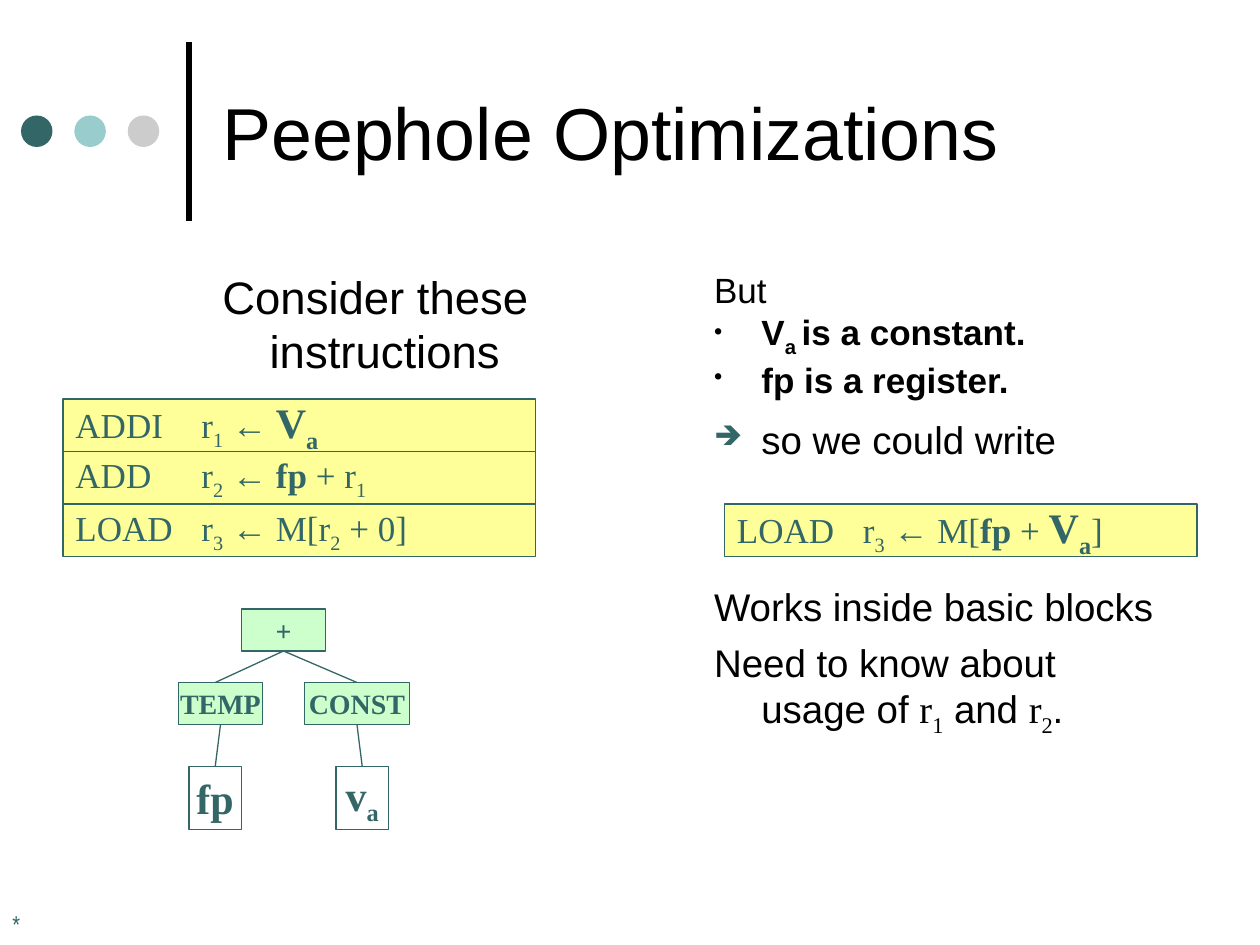
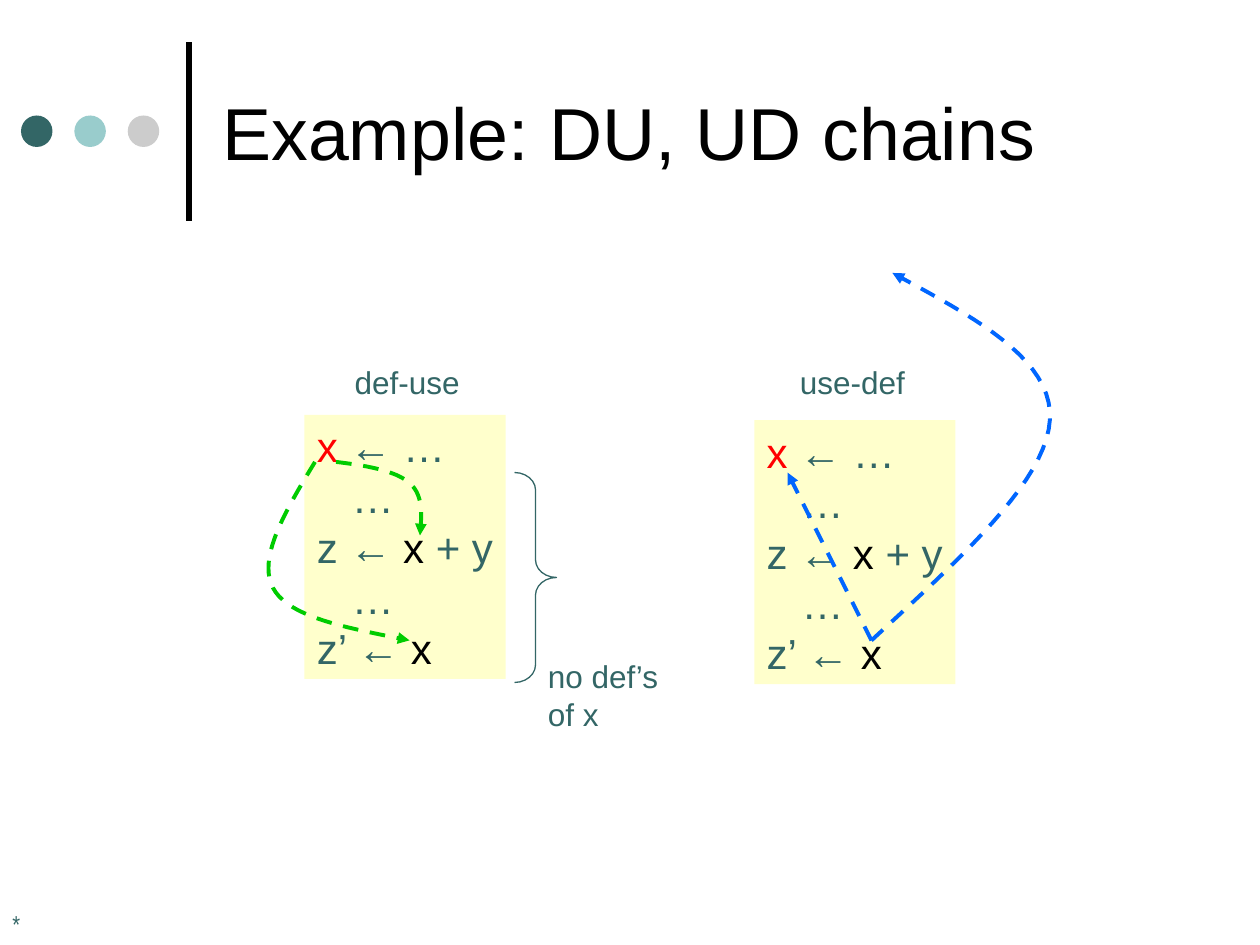
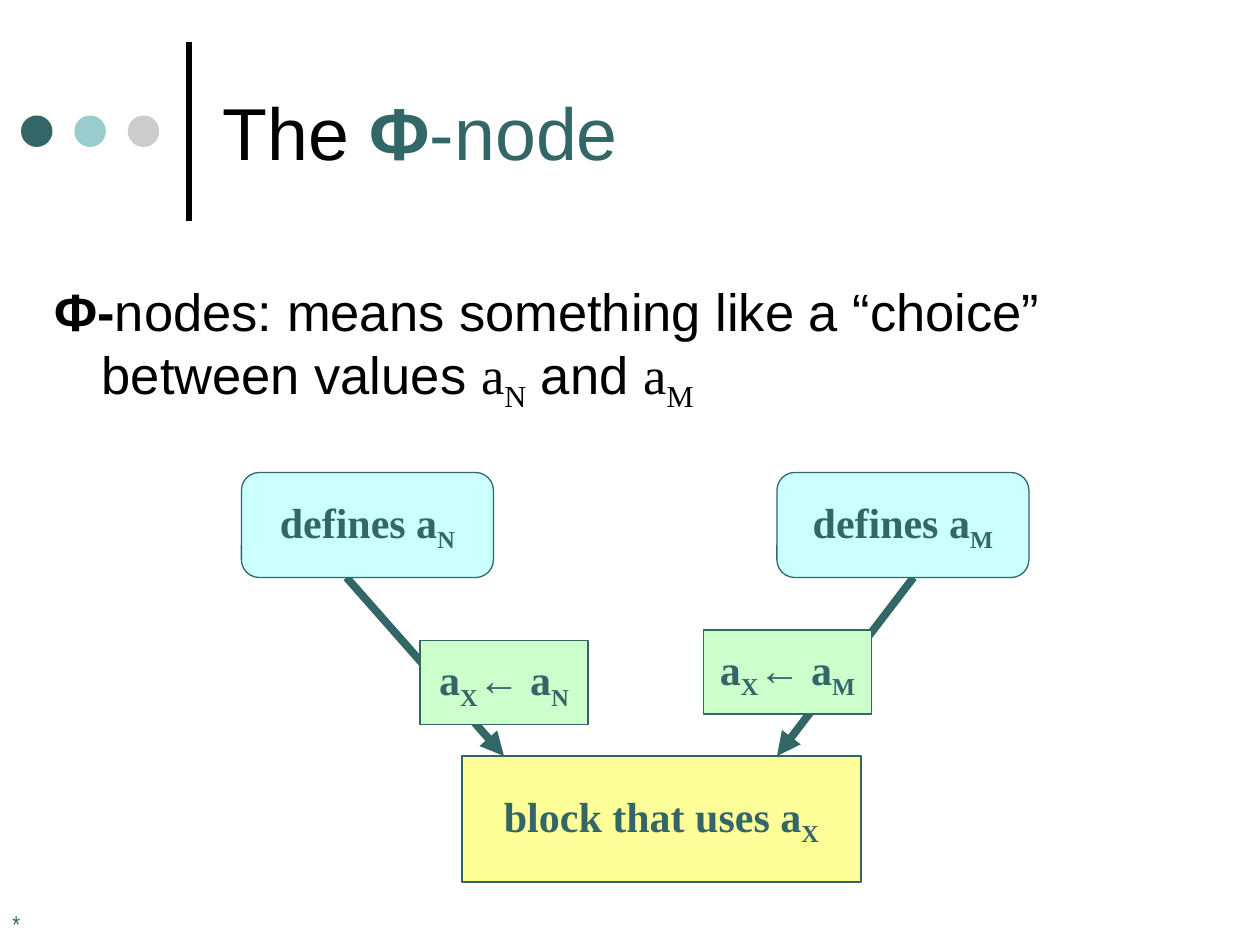
import lxml.etree
import pptx
import pptx.dml.color
import pptx.enum.dml
import pptx.enum.shapes
import pptx.enum.text
import pptx.oxml.ns
import pptx.util

Pt = pptx.util.Pt
qn = pptx.oxml.ns.qn
SHAPE = pptx.enum.shapes.MSO_SHAPE
ALIGN = pptx.enum.text.PP_ALIGN
ANCHOR = pptx.enum.text.MSO_ANCHOR
COLORS = {
    "black": "000000", "white": "FFFFFF", "teal": "336666", "aqua": "99CCCC",
    "grey": "CCCCCC", "yellow": "FFFF99", "cream": "FFFFCC", "mint": "CCFFCC",
    "sky": "CCFFFF", "red": "FF0000", "green": "00CC00", "blue": "0066FF",
}
SANS, SERIF = "Arial", "Times New Roman"
HANG = 27


def rgb(name):
    return pptx.dml.color.RGBColor.from_string(COLORS[name])


def add_text(p, text, size=24, font=SANS, color="teal", bold=False, sub=False):
    r = p.add_run()
    r.text = text
    r.font.size = Pt(size)
    r.font.name = font
    r.font.bold = bold
    r.font.color.rgb = rgb(color)
    if sub:
        r._r.get_or_add_rPr().set("baseline", "-25000")


def run(text, **fmt):
    return text, fmt


def sub(text, **fmt):
    return text, dict(fmt, sub=True)


def para(*runs, **layout):
    return runs, layout


class Deck:
    def __init__(self):
        self.prs = pptx.Presentation()
        self.prs.slide_width, self.prs.slide_height = Pt(720), Pt(540)
        self.s = None

    def slide(self, *title):
        self.s = self.prs.slides.add_slide(self.prs.slide_layouts[6])
        self.line((108, 126), (108, 24), "black", 3)
        for i, color in enumerate(("teal", "aqua", "grey")):
            self.shape((12 + 30.5 * i, 66, 18, 18), color,
                       kind=SHAPE.OVAL, line=None)
        self.box((0, 516, 150, 36), [para("*")], size=14, font="Arial Narrow")
        self.box((120, 15, 552, 120), [para(*title)], anchor=ANCHOR.MIDDLE,
                 size=42, color="black")

    def fill_frame(self, tf, paras, align=ALIGN.LEFT, anchor=ANCHOR.TOP,
                   wrap=True, **fmt):
        tf.word_wrap = wrap
        tf.vertical_anchor = anchor
        for i, (runs, layout) in enumerate(paras):
            p = tf.add_paragraph() if i else tf.paragraphs[0]
            p.alignment = align
            self.layout(p, **layout)
            for item in runs:
                text, own = (item, {}) if isinstance(item, str) else item
                add_text(p, text, **{**fmt, **own})

    def layout(self, p, before=0, left=0, first=0, bullet=None, bullet_color="black"):
        p.space_before = Pt(before)
        pPr = p._p.get_or_add_pPr()
        pPr.set("marL", str(Pt(left)))
        pPr.set("indent", str(Pt(first)))
        if bullet:
            clr = lxml.etree.SubElement(pPr, qn("a:buClr"))
            lxml.etree.SubElement(clr, qn("a:srgbClr"), val=COLORS[bullet_color])
            lxml.etree.SubElement(pPr, qn("a:buSzPct"), val="70000")
            lxml.etree.SubElement(pPr, qn("a:buChar"), char=bullet)

    def box(self, at, paras, **fmt):
        sp = self.s.shapes.add_textbox(*map(Pt, at))
        self.fill_frame(sp.text_frame, paras, **fmt)

    def shape(self, at, fill, paras=(), kind=SHAPE.RECTANGLE, line="teal",
              adjust=None, **fmt):
        sp = self.s.shapes.add_shape(kind, *map(Pt, at))
        sp.shadow.inherit = False
        if adjust is not None:
            sp.adjustments[0] = adjust
        if fill:
            sp.fill.solid()
            sp.fill.fore_color.rgb = rgb(fill)
        else:
            sp.fill.background()
        if line:
            self.stroke(sp, line, 0.75)
        else:
            sp.line.fill.background()
        if paras:
            self.fill_frame(sp.text_frame, paras, wrap=False, **fmt)
        return sp

    def node(self, at, fill, *runs, size=24, align=ALIGN.CENTER, bold=True, **style):
        return self.shape(at, fill, [para(*runs)], size=size, font=SERIF, bold=bold,
                          align=align, anchor=ANCHOR.MIDDLE, **style)

    def stroke(self, sp, color, width, dash=False, arrow=False):
        sp.line.color.rgb = rgb(color)
        sp.line.width = Pt(width)
        if dash:
            sp.line.dash_style = pptx.enum.dml.MSO_LINE.DASH
        if arrow:
            ln = sp.element.spPr.find(qn("a:ln"))
            lxml.etree.SubElement(ln, qn("a:tailEnd"), type="triangle")

    def line(self, start, end, color="teal", width=0.75, **style):
        c = self.s.shapes.add_connector(pptx.enum.shapes.MSO_CONNECTOR.STRAIGHT,
                                        *map(Pt, start + end))
        self.stroke(c, color, width, **style)
        lxml.etree.SubElement(c.element.spPr, qn("a:effectLst"))
        return c

    def edge(self, parent, child):
        c = self.line((0, 0), (0, 0))
        c.begin_connect(parent, 2)
        c.end_connect(child, 0)

    def curve(self, points, color, steps=20):
        fb = self.s.shapes.build_freeform(*map(Pt, points[0]))
        outline = []
        for i in range(0, len(points) - 1, 3):
            for k in range(1, steps + 1):
                t = k / steps
                weights = ((1 - t) ** 3, 3 * t * (1 - t) ** 2,
                           3 * t * t * (1 - t), t ** 3)
                outline.append([Pt(sum(w * q[axis] for w, q in
                                       zip(weights, points[i:i + 4])))
                                for axis in (0, 1)])
        fb.add_line_segments(outline, close=False)
        sp = fb.convert_to_shape()
        sp.shadow.inherit = False
        sp.fill.background()
        self.stroke(sp, color, 2.25, dash=True, arrow=True)


def peephole(d):
    d.slide("Peephole Optimizations")
    hang = dict(left=HANG, first=-HANG)
    d.box((120, 150, 271, 324), [para("Consider these instructions", before=6.5, **hang)],
          size=26, color="black")
    small = dict(size=20, bold=True)
    serif = dict(font=SERIF)
    d.box((401, 150, 271, 324), [
        para(run("But", size=20), **hang),
        para(run("V", **small), sub("a ", **small), run("is a constant.", **small),
             bullet="•", **hang),
        para(run("fp is a register.", **small), bullet="•", **hang),
        para("so we could write", before=9, bullet="➔", bullet_color="teal", **hang),
        para("Works inside basic blocks", before=69, **hang),
        para("Need to know about usage of ", run("r", **serif), sub("1", **serif),
             " and ", run("r", **serif), sub("2", **serif), ".", before=5.5, **hang),
    ], size=22, color="black")

    arrow = run("←", font=SANS)
    bold = dict(bold=True)
    big = dict(size=24, bold=True)
    va = run("V", **big), sub("a", **big)
    code = dict(size=20, align=ALIGN.LEFT, bold=False)
    rows = [
        ("ADDI\tr", sub("1"), " ", arrow, " ", *va),
        ("ADD\tr", sub("2"), " ", arrow, " ", run("fp", **bold), " + r", sub("1")),
        ("LOAD\tr", sub("3"), " ", arrow, " M[r", sub("2"), " + 0]"),
    ]
    for i, row in enumerate(rows):
        d.node((36, 228 + 30 * i, 270, 30), "yellow", *row, **code)
    d.node((414, 288, 270, 30), "yellow", "LOAD\tr", sub("3"), " ", arrow, " M[",
           run("fp", **bold), " + ", *va, "]", **code)

    plus = d.node((138, 348, 48, 24), "mint", "+", size=16)
    temp = d.node((102, 390, 48, 24), "mint", "TEMP", size=16)
    const = d.node((174, 390, 60, 24), "mint", "CONST", size=16)
    fp = d.node((108, 438, 30, 36), "white", "fp")
    v = d.node((192, 438, 30, 36), "white", "v", sub("a"))
    for parent, child in ((plus, const), (const, v), (temp, fp)):
        d.edge(parent, child)
    d.line((162, 372), (123, 390)).begin_connect(plus, 2)


def chains(d):
    d.slide("Example: DU, UD chains")
    x = run("x", color="black")
    code = [
        para(run("x ", color="red"), "← …"),
        para("…", left=20),
        para("z ← ", x, " + y"),
        para("…", left=20),
        para("z’ ← ", x),
    ]
    for left, top in ((174, 237), (431, 240)):
        d.shape((left, top, 115, 151), "cream", code, line=None)
    d.curve([(192, 264), (209, 266), (226, 269), (234, 276),
             (242, 283), (241, 294), (240, 306)], "green")
    d.curve([(180, 264), (163, 292), (147, 319), (156, 336),
             (165, 353), (199, 359), (234, 366)], "green")
    d.shape((294, 270, 24, 120), None, kind=SHAPE.RIGHT_BRACE, adjust=0.42)
    d.line((498, 366), (450, 270), "blue", 2.25, dash=True, arrow=True)
    d.curve([(498, 366), (548, 320), (598, 275), (600, 240),
             (602, 205), (556, 181), (510, 156)], "blue")
    labels = [
        ((306, 372, 90, 50), ("no def’s", "of x")),
        ((195.5, 204, 90, 29), ("def-use",)),
        ((450, 204, 90, 29), ("use-def",)),
    ]
    for at, lines in labels:
        d.box(at, [para(text) for text in lines], size=18)


def phi_node(d):
    d.slide("The ", run("Φ", color="teal", bold=True), run("-node", color="teal"))
    d.node((264, 432, 228, 72), "yellow", "block that uses a", sub("X"))
    branches = [
        ("N", 138, (198, 330), (288, 432), (240, 366)),
        ("M", 444, (522, 330), (444, 432), (402, 360)),
    ]
    for name, left, start, end, assign in branches:
        d.line(start, end, width=4.5, arrow=True)
        d.node((left, 270, 144, 60), "sky", "defines a", sub(name),
               kind=SHAPE.ROUNDED_RECTANGLE, adjust=0.17)
        d.node(assign + (96, 48), "mint", "a", sub("X"), run("←", font=SANS),
               " a", sub(name), kind=SHAPE.FLOWCHART_PROCESS)
    serif = dict(font=SERIF)
    d.box((24, 156, 660, 96), [para(
        run("Φ-", bold=True), "nodes: means something like a “choice” between values ",
        run("a", **serif), sub("N", **serif), " and ", run("a", **serif),
        sub("M", **serif), before=7.5, left=HANG, first=-HANG)], size=30, color="black")


def main():
    d = Deck()
    for build in (peephole, chains, phi_node):
        build(d)
    d.prs.save("out.pptx")


if __name__ == "__main__":
    main()
